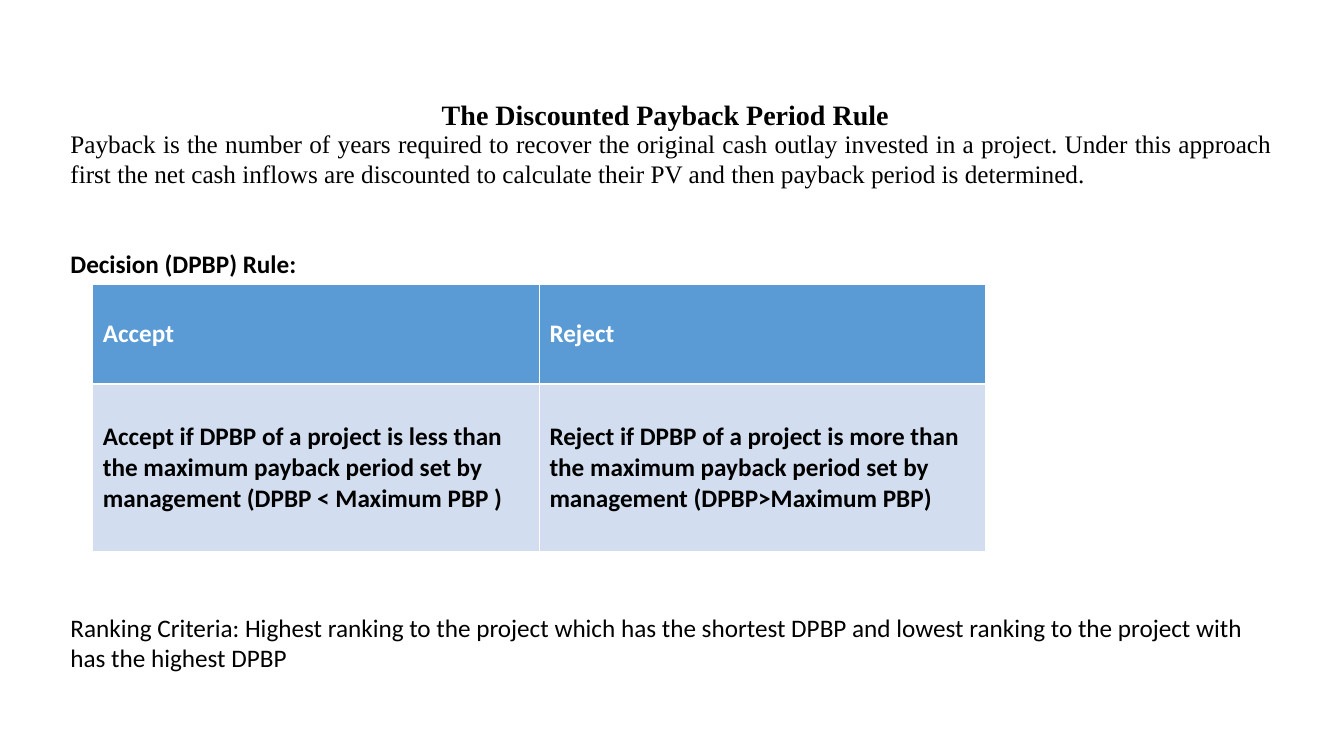
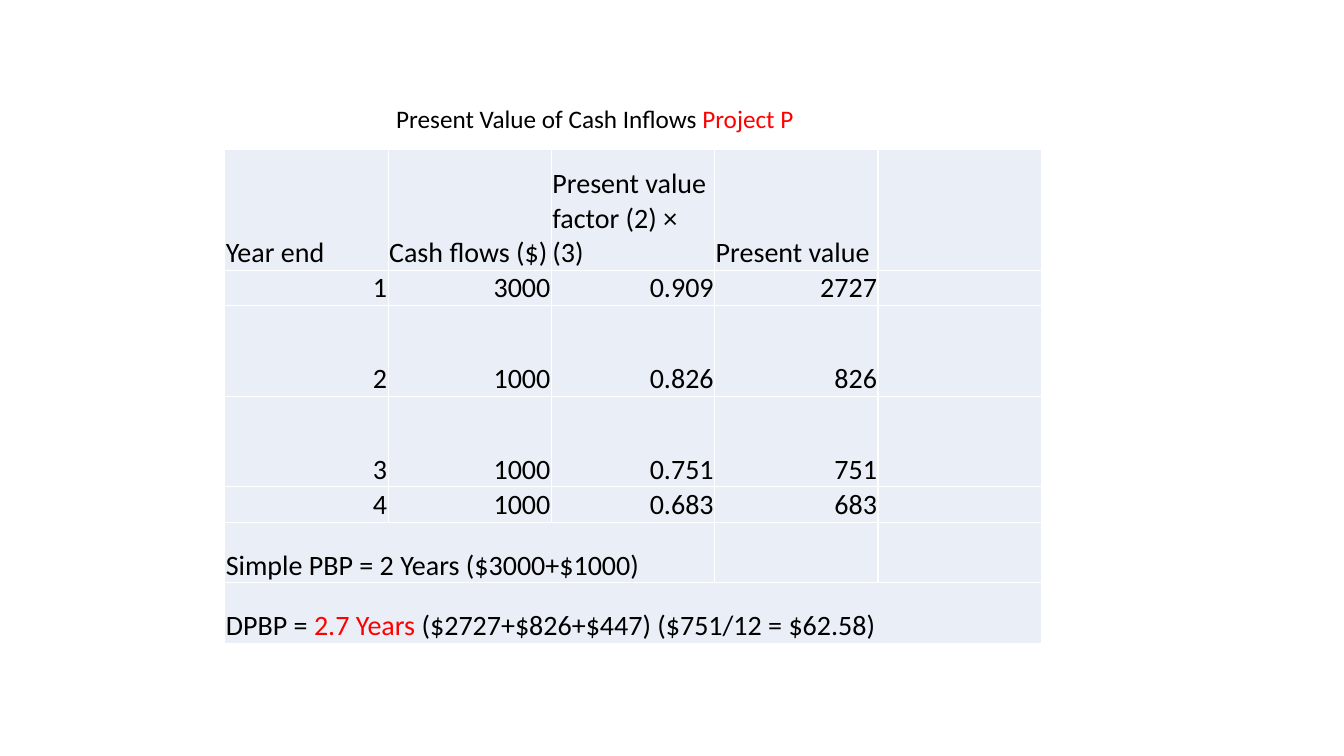
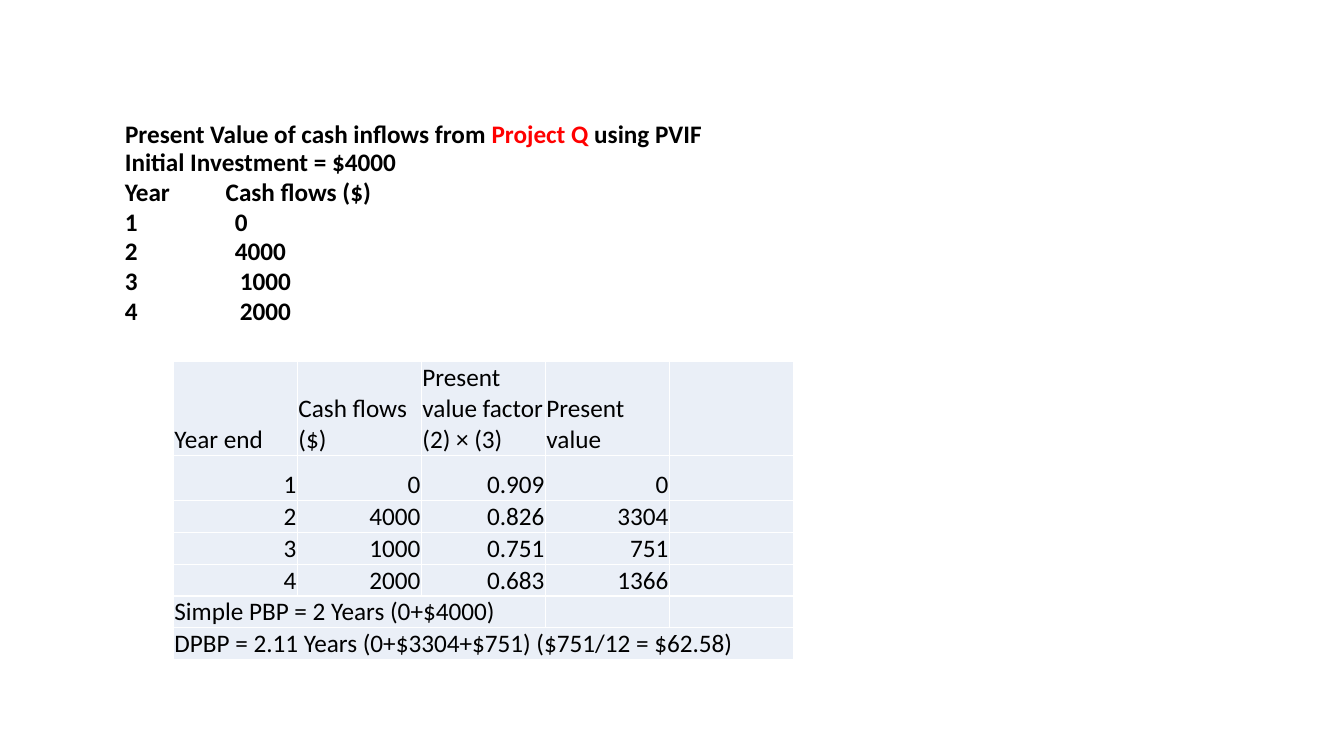
from dataclasses import dataclass

from lxml import etree
from pptx import Presentation
from pptx import util as u
from pptx.dml.color import RGBColor
from pptx.enum import text
from pptx.oxml.ns import qn

ALIGN = text.PP_ALIGN
ANCHOR = text.MSO_ANCHOR


@dataclass(frozen=True)
class Theme:
    sans: str = "Calibri"
    serif: str = "Times New Roman"
    ink: str = "000000"
    accent: str = "FF0000"
    white: str = "FFFFFF"
    header: str = "5B9BD5"
    band: str = "D2DEEF"
    pale: str = "EAEFF7"
    large: int = 20
    body: int = 18
    leading: float = 0.98


T = Theme()


class Deck:
    def __init__(self):
        self.prs = Presentation()
        self.prs.slide_width = u.Inches(13.33)
        self.prs.slide_height = u.Inches(7.5)

    def new_slide(self):
        self.s = self.prs.slides.add_slide(self.prs.slide_layouts[5])

    def style(self, p, size=T.body, font=T.sans, color=T.ink, bold=False,
              align=ALIGN.LEFT):
        p.alignment = align
        p.font.size = u.Pt(size)
        p.font.name = font
        p.font.bold = bold
        p.font.color.rgb = RGBColor.from_string(color)

    def fill_paragraph(self, p, content, **style):
        self.style(p, **style)
        runs = [(content, None)] if isinstance(content, str) else content
        for words, color in runs:
            r = p.add_run()
            r.text = words
            if color:
                r.font.color.rgb = RGBColor.from_string(color)

    def frame(self, sp):
        tf = sp.text_frame
        tf.word_wrap = True
        tf.auto_size = text.MSO_AUTO_SIZE.NONE
        tf.vertical_anchor = ANCHOR.TOP
        return tf

    def title(self, content, x, y, w, **style):
        sp = self.s.shapes.title
        sp.left, sp.top = u.Inches(x), u.Inches(y)
        sp.width, sp.height = u.Inches(w), u.Inches(0.4)
        self.fill_paragraph(self.frame(sp).paragraphs[0], content, **style)

    def textbox(self, lines, x, y, w, h, tabs=None, **style):
        sp = self.s.shapes.add_textbox(*map(u.Inches, (x, y, w, h)))
        tf = self.frame(sp)
        for i, line in enumerate(lines):
            p = tf.add_paragraph() if i else tf.paragraphs[0]
            p.line_spacing = T.leading
            if tabs and tabs[i]:
                self.tab_stop(p, tabs[i])
            self.fill_paragraph(p, line, **style)

    def tab_stop(self, p, pos):
        stops = etree.SubElement(p._p.get_or_add_pPr(), qn("a:tabLst"))
        etree.SubElement(stops, qn("a:tab"), pos=str(u.Inches(pos)), algn="l")

    def grid(self, x, y, col_w, heights, cols, header=False):
        shape = self.s.shapes.add_table(
            len(heights), cols, u.Inches(x), u.Inches(y),
            u.Inches(col_w * cols), u.Inches(sum(heights)))
        table = shape.table
        table.first_row = header
        table.horz_banding = False
        for col in table.columns:
            col.width = u.Inches(col_w)
        for row, h in zip(table.rows, heights):
            row.height = u.Inches(h)
        return table

    def cell(self, cell, content, fill, **style):
        cell.fill.solid()
        cell.fill.fore_color.rgb = RGBColor.from_string(fill)
        if content:
            self.fill_paragraph(cell.text_frame.paragraphs[0], content, **style)

    def rule_table(self, x, y, col_w, heights, rows):
        table = self.grid(x, y, col_w, heights, len(rows[0]), header=True)
        looks = [(T.header, T.white), (T.band, T.ink)]
        for i, (row, (fill, color)) in enumerate(zip(rows, looks)):
            for j, words in enumerate(row):
                cell = table.cell(i, j)
                cell.vertical_anchor = ANCHOR.MIDDLE
                self.cell(cell, words, fill, color=color, bold=True)

    def cash_table(self, x, y, col_w, heights, years, simple, discounted, size):
        head = ["Year end", "Cash flows ($)", "Present value factor (2) × (3)",
                "Present value"]
        rows = [head, *years, [simple], [discounted]]
        cols = len(head) + 1
        table = self.grid(x, y, col_w, heights, cols)
        for i, row in enumerate(rows):
            align = ALIGN.RIGHT if 0 < i <= len(years) else ALIGN.LEFT
            for j in range(cols):
                cell = table.cell(i, j)
                cell.vertical_anchor = ANCHOR.BOTTOM
                cell.margin_left = cell.margin_right = u.Inches(0.01)
                cell.margin_top, cell.margin_bottom = u.Inches(0.01), 0
                self.cell(cell, row[j] if j < len(row) else "", T.pale,
                          size=size, align=align)
        last = len(rows) - 1
        table.cell(last - 1, 0).merge(table.cell(last - 1, 2))
        table.cell(last, 0).merge(table.cell(last, cols - 1))


def rule_slide(d):
    d.new_slide()
    d.title("The Discounted Payback Period Rule", 0.6, 0.92, 12,
            size=T.large, font=T.serif, bold=True, align=ALIGN.CENTER)
    d.textbox(["Payback is the number of years required to recover the original "
               "cash outlay invested in a project. Under this approach first the "
               "net cash inflows are discounted to calculate their PV and then "
               "payback period is determined."],
              0.6, 1.24, 12.12, 0.7, font=T.serif, align=ALIGN.JUSTIFY)
    d.textbox(["Decision (DPBP) Rule:"], 0.6, 2.43, 12.12, 0.4, bold=True)
    d.rule_table(0.92, 2.82, 4.43, [0.99, 1.66], [
        ["Accept", "Reject"],
        ["Accept if DPBP of a project is less than the maximum payback period "
         "set by management (DPBP < Maximum PBP )",
         "Reject if DPBP of a project is more than the maximum payback period "
         "set by management (DPBP>Maximum PBP)"]])
    d.textbox(["Ranking Criteria: Highest ranking to the project which has the "
               "shortest DPBP and lowest ranking to the project with has the "
               "highest DPBP"], 0.6, 6.04, 12.12, 0.7)


def project_p_slide(d):
    d.new_slide()
    d.title([("Present Value of Cash Inflows ", None), ("Project P", T.accent)],
            3.83, 0.97, 4.5)
    d.cash_table(
        2.23, 1.48, 1.62, [1.2, 0.35, 0.9, 0.9, 0.35, 0.6, 0.6],
        [["1", "3000", "0.909", "2727"],
         ["2", "1000", "0.826", "826"],
         ["3", "1000", "0.751", "751"],
         ["4", "1000", "0.683", "683"]],
        "Simple PBP = 2 Years ($3000+$1000)",
        [("DPBP = ", None), ("2.7 Years ", T.accent),
         ("($2727+$826+$447) ($751/12 = $62.58)", None)],
        T.large)


def project_q_slide(d):
    d.new_slide()
    d.title([("Present Value of cash inflows from ", None),
             ("Project Q ", T.accent), ("using PVIF", None)],
            1.14, 1.12, 10.76, bold=True)
    d.textbox(["Initial Investment = $4000", "Year\tCash flows ($)",
               "1\t0", "2\t4000", "3\t1000", "4\t2000"],
              1.14, 1.42, 10.76, 1.95,
              tabs=[None, 1, 1.09, 1.09, 1.14, 1.14], bold=True)
    d.cash_table(
        1.72, 3.59, 1.23, [0.91, 0.45] + [0.31] * 5,
        [["1", "0", "0.909", "0"],
         ["2", "4000", "0.826", "3304"],
         ["3", "1000", "0.751", "751"],
         ["4", "2000", "0.683", "1366"]],
        "Simple PBP = 2 Years (0+$4000)",
        "DPBP = 2.11 Years (0+$3304+$751) ($751/12 = $62.58)",
        T.body)


def main():
    d = Deck()
    rule_slide(d)
    project_p_slide(d)
    project_q_slide(d)
    d.prs.save("out.pptx")


if __name__ == "__main__":
    main()
